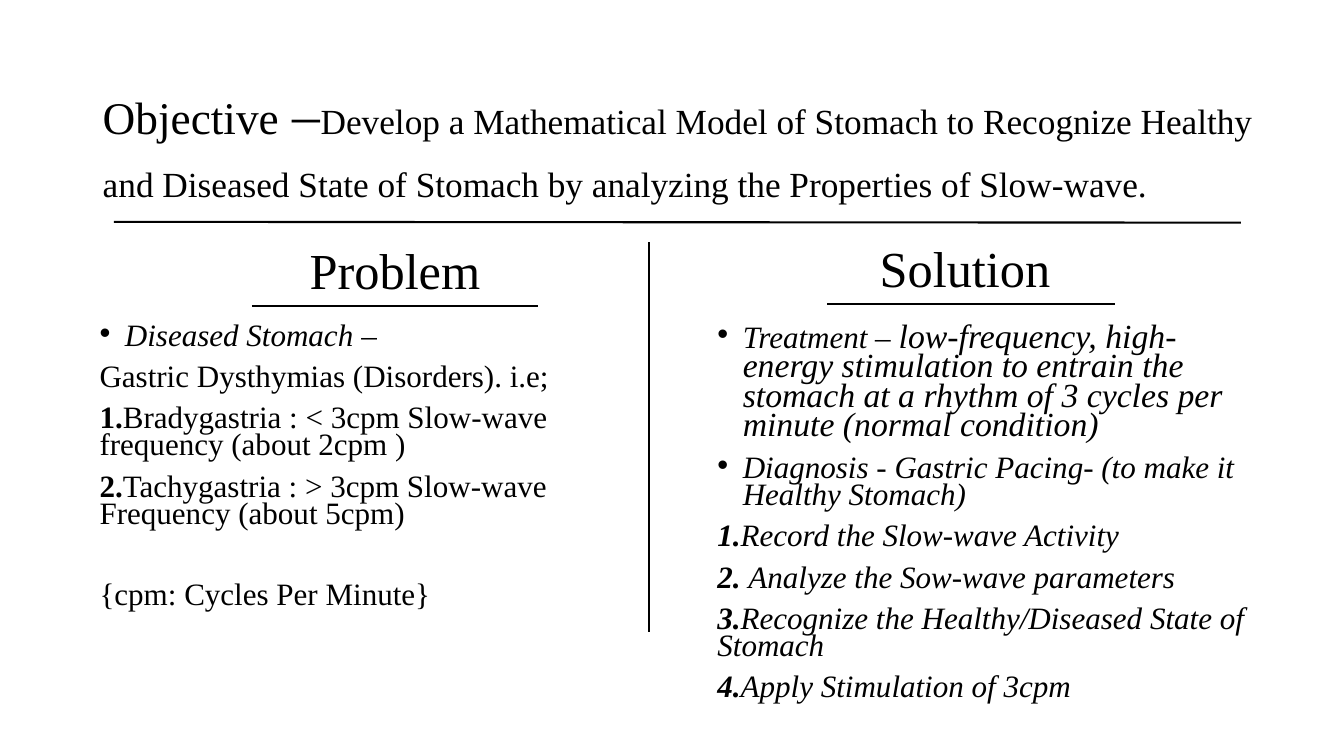
from dataclasses import dataclass

from lxml.etree import SubElement as Sub
from pptx import Presentation as Deck
from pptx.dml.color import RGBColor as Rgb
from pptx.enum.shapes import MSO_CONNECTOR as Link
from pptx.enum.text import MSO_ANCHOR as Anchor, PP_ALIGN as Align
from pptx.oxml.ns import qn
from pptx.util import Cm, Pt


@dataclass(frozen=True)
class Theme:
    ink: Rgb = Rgb(0, 0, 0)
    face: str = "Times New Roman"
    lead: float = 32.4
    dash: float = 39.6
    goal: float = 25.2
    head: float = 36
    body: float = 22.2
    large: float = 24.1
    rule: float = 1.5


@dataclass(frozen=True)
class Run:
    text: str
    size: float
    bold: bool = False
    slant: bool = False


@dataclass(frozen=True)
class Para:
    runs: list[Run]
    dot: bool = False
    gap: float = 10


@dataclass(frozen=True)
class Box:
    left: float
    top: float
    width: float
    height: float


@dataclass(frozen=True)
class Rule:
    x1: float
    y1: float
    x2: float
    y2: float


@dataclass(frozen=True)
class Column:
    title: str
    head: Box
    body: Box
    paras: list[Para]


LOOK = Theme()


def step(mark: str, text: str, slant: bool = False) -> Para:
    return Para([Run(mark, LOOK.body, True, slant), Run(text, LOOK.body, False, slant)])


def plain(text: str, gap: float = 10) -> Para:
    return Para([Run(text, LOOK.body)], gap=gap)


def add_dot(para) -> None:
    props = para._p.get_or_add_pPr()
    props.set("marL", str(Cm(0.64)))
    props.set("indent", str(-Cm(0.64)))
    Sub(props, qn("a:buFont")).set("typeface", "Arial")
    Sub(props, qn("a:buChar")).set("char", "•")


def add_text(slide, box: Box, paras: list[Para], *, lines: float = 0.9,
             anchor: Anchor = Anchor.TOP, align: Align = Align.LEFT) -> None:
    frame = slide.shapes.add_textbox(
        Cm(box.left), Cm(box.top), Cm(box.width), Cm(box.height)).text_frame
    frame.word_wrap = True
    frame.vertical_anchor = anchor
    for i, item in enumerate(paras):
        para = frame.add_paragraph() if i else frame.paragraphs[0]
        para.alignment = align
        para.line_spacing = lines
        if i:
            para.space_before = Pt(item.gap)
        if item.dot:
            add_dot(para)
        for part in item.runs:
            run = para.add_run()
            run.text = part.text
            font = run.font
            font.name, font.size = LOOK.face, Pt(part.size)
            font.bold, font.italic = part.bold, part.slant
            font.color.rgb = LOOK.ink


def add_rule(slide, rule: Rule) -> None:
    line = slide.shapes.add_connector(
        Link.STRAIGHT, Cm(rule.x1), Cm(rule.y1), Cm(rule.x2), Cm(rule.y2))
    line.line.color.rgb = LOOK.ink
    line.line.width = Pt(LOOK.rule)
    Sub(line._element.spPr, qn("a:effectLst"))


GOAL = Para([
    Run("Objective", LOOK.lead),
    Run(" –", LOOK.dash),
    Run("Develop a Mathematical Model of Stomach to Recognize Healthy and Diseased "
        "State of Stomach by analyzing the Properties of Slow-wave.", LOOK.goal),
    Run(" ", LOOK.dash),
])

COLUMNS = [
    Column("Problem", Box(2.79, 5.41, 14.33, 2.29), Box(2.26, 8.05, 13.67, 8.64), [
        Para([Run("Diseased Stomach ", LOOK.body, slant=True), Run("–", LOOK.body)], dot=True),
        plain("Gastric Dysthymias (Disorders). i.e;"),
        step("1.", "Bradygastria : < 3cpm Slow-wave frequency (about 2cpm )"),
        step("2.", "Tachygastria : > 3cpm Slow-wave Frequency (about 5cpm)"),
        plain("{cpm: Cycles Per Minute}", gap=38.5),
    ]),
    Column("Solution", Box(17.12, 5.36, 14.4, 2.29), Box(17.83, 8.05, 14.27, 9.53), [
        Para([Run("Treatment – ", LOOK.body, slant=True),
              Run("low-frequency, high-energy stimulation to entrain the stomach at a "
                  "rhythm of 3 cycles per minute (normal condition)",
                  LOOK.large, slant=True)], dot=True),
        Para([Run("Diagnosis - Gastric Pacing- (to make it Healthy Stomach)",
                  LOOK.body, slant=True)], dot=True),
        step("1.", "Record the Slow-wave Activity", True),
        step("2. ", "Analyze the Sow-wave parameters", True),
        step("3.", "Recognize the Healthy/Diseased State of Stomach", True),
        step("4.", "Apply Stimulation of 3cpm", True),
    ]),
]

RULES = [
    Rule(2.87, 5.59, 31.27, 5.61),    # below the objective
    Rule(6.35, 7.7, 13.56, 7.7),      # below Problem
    Rule(20.85, 7.65, 28.09, 7.65),   # below Solution
    Rule(16.36, 6.1, 16.36, 15.93),   # between the columns
]


def main() -> None:
    deck = Deck()
    deck.slide_width, deck.slide_height = Cm(33.87), Cm(19.05)
    slide = deck.slides.add_slide(deck.slide_layouts[6])

    # Objective
    add_text(slide, Box(2.34, 2.41, 29.77, 2.59), [GOAL], lines=0.95, anchor=Anchor.MIDDLE)

    # Problem and solution
    for col in COLUMNS:
        add_text(slide, col.head, [Para([Run(col.title, LOOK.head)])],
                 anchor=Anchor.BOTTOM, align=Align.CENTER)
        add_text(slide, col.body, col.paras, lines=0.73)

    # Rules
    for rule in RULES:
        add_rule(slide, rule)

    deck.save("out.pptx")


if __name__ == "__main__":
    main()
